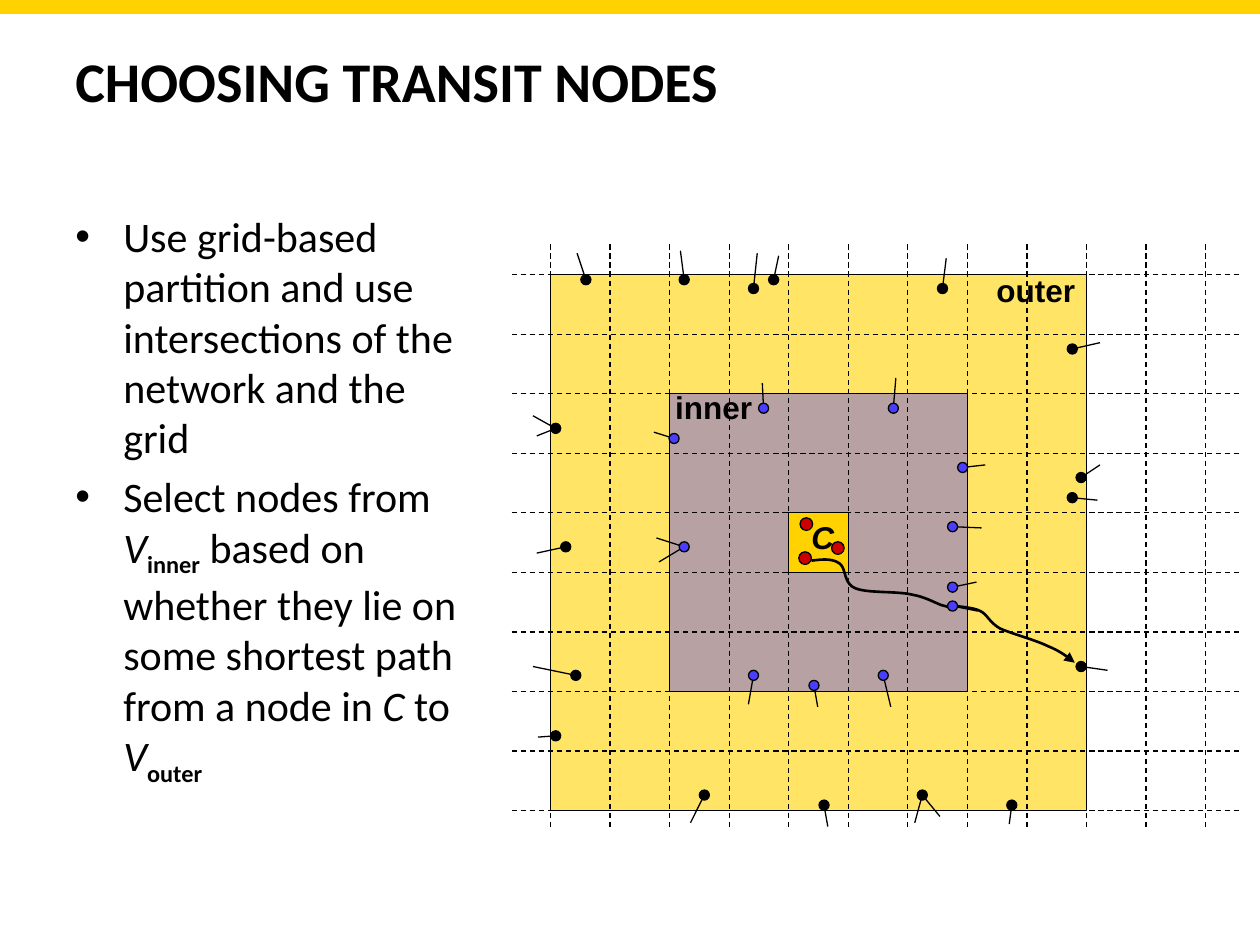
from lxml.etree import SubElement
from pptx import Presentation
from pptx.dml.color import RGBColor
from pptx.enum.dml import MSO_LINE
from pptx.enum.shapes import MSO_CONNECTOR, MSO_SHAPE
from pptx.enum.text import MSO_ANCHOR
from pptx.oxml.ns import qn
from pptx.util import Inches, Pt

BLACK, YELLOW, BLUE, RED = "000000", "FFD200", "4B3DFD", "CC0000"
GRID_LEFT, GRID_TOP, CELL = 4.37, 2.18, 0.4725
COLUMNS, ROWS = 12, 10

# Node centre followed by the outer ends of its edges
INNER_NODES = [
    ((7.09, 3.24), (7.11, 3.0)),
    ((6.06, 3.24), (6.05, 3.04)),
    ((5.35, 3.48), (5.19, 3.43)),
    ((7.01, 5.36), (7.07, 5.61)),
    ((6.46, 5.44), (6.49, 5.61)),
    ((5.98, 5.36), (5.94, 5.59)),
    ((5.43, 4.34), (5.21, 4.27), (5.23, 4.46)),
    ((7.64, 3.71), (7.82, 3.69)),
    ((7.56, 4.18), (7.79, 4.19)),
    ((7.56, 4.66), (7.75, 4.62)),
]
OUTER_NODES = [
    ((5.43, 2.22), (5.4, 1.99)),
    ((4.65, 2.22), (4.58, 2.01)),
    ((4.41, 3.4), (4.23, 3.3), (4.26, 3.46)),
    ((4.49, 4.34), (4.26, 4.39)),
    ((6.14, 2.22), (6.18, 2.03)),
    ((5.98, 2.29), (6.01, 2.01)),
    ((8.51, 2.77), (8.73, 2.72)),
    ((7.48, 2.29), (7.51, 2.05)),
    ((8.58, 3.79), (8.73, 3.69)),
    ((8.51, 3.95), (8.71, 3.97)),
    ((8.58, 5.29), (8.79, 5.32)),
    ((8.03, 6.39), (8.01, 6.54)),
    ((6.54, 6.39), (6.57, 6.56)),
    ((5.59, 6.31), (5.48, 6.53)),
    ((7.32, 6.31), (7.26, 6.53), (7.46, 6.48)),
    ((4.57, 5.36), (4.23, 5.29)),
    ((4.41, 5.84), (4.27, 5.85)),
]
PATH_NODE = ((7.56, 4.81), (7.76, 4.85))
CELL_NODES = [(6.39, 4.43), (6.65, 4.35), (6.4, 4.16)]

# Shortest path: start, then two control points and an end per curve
PATH_START = (6.44, 4.45)
PATH_CURVES = [
    ((6.52, 4.44), (6.6, 4.43), (6.66, 4.47)),
    ((6.72, 4.51), (6.69, 4.63), (6.79, 4.67)),
    ((6.89, 4.71), (7.12, 4.69), (7.24, 4.72)),
    ((7.36, 4.74), (7.44, 4.8), (7.5, 4.81)),
    ((7.56, 4.83), (7.55, 4.81), (7.59, 4.81)),
    ((7.64, 4.82), (7.72, 4.82), (7.78, 4.85)),
    ((7.84, 4.88), (7.85, 4.94), (7.94, 4.99)),
    ((8.03, 5.03), (8.22, 5.08), (8.32, 5.13)),
    ((8.42, 5.17), (8.48, 5.22), (8.53, 5.26)),
]

PLAIN, ITALIC = {}, {"italic": True}
SUBSCRIPT = {"bold": True, "baseline": "-25000"}
BULLETS = [
    [("Use grid-based partition and use intersections of the network and the grid", PLAIN)],
    [("Select nodes from ", PLAIN), ("V", ITALIC), ("inner", SUBSCRIPT),
     (" based on whether they lie on some shortest path from a node in ", PLAIN),
     ("C", ITALIC), (" to ", PLAIN), ("V", ITALIC), ("outer", SUBSCRIPT)],
]


def color(hex_value):
    return RGBColor.from_string(hex_value)


def add_filled(slide, kind, box, fill, line=BLACK, opacity=None):
    shape = slide.shapes.add_shape(kind, *map(Inches, box))
    shape.shadow.inherit = False
    shape.fill.solid()
    shape.fill.fore_color.rgb = color(fill)
    shape.line.color.rgb = color(line)
    shape.line.width = Pt(0.75)
    if opacity:
        fill_color = shape._element.spPr.find(qn("a:solidFill"))[0]
        SubElement(fill_color, qn("a:alpha"), val=str(opacity * 1000))


def add_block(slide, first_cell, cells, fill, opacity=None):
    """Square of whole cells, starting at the same column and row."""
    offset, size = first_cell * CELL, cells * CELL
    box = (GRID_LEFT + offset, GRID_TOP + offset, size, size)
    add_filled(slide, MSO_SHAPE.RECTANGLE, box, fill, opacity=opacity)


def add_line(slide, start, end, dash=None):
    connector = slide.shapes.add_connector(
        MSO_CONNECTOR.STRAIGHT, *map(Inches, (*start, *end)))
    connector.line.color.rgb = color(BLACK)
    connector.line.width = Pt(0.75)
    if dash:
        connector.line.dash_style = dash
    SubElement(connector._element.spPr, qn("a:effectLst"))


def add_dot(slide, center, fill, size=0.08):
    box = (center[0] - size / 2, center[1] - size / 2, size, size)
    add_filled(slide, MSO_SHAPE.OVAL, box, fill)


def add_node(slide, node, fill):
    center, *ends = node
    for end in ends:
        add_line(slide, center, end)
    add_dot(slide, center, fill)


def add_grid(slide):
    for column in range(COLUMNS):
        x = GRID_LEFT + column * CELL
        add_line(slide, (x, 1.94), (x, 6.59), MSO_LINE.DASH)
    for row in range(ROWS):
        y = GRID_TOP + row * CELL
        add_line(slide, (4.06, y), (9.84, y), MSO_LINE.DASH)


def curve_points(start, curves, steps=10):
    points = []
    for first, second, end in curves:
        for step in range(1, steps + 1):
            t = step / steps
            points.append(tuple(
                Inches((1 - t) ** 3 * a + 3 * (1 - t) ** 2 * t * b
                       + 3 * (1 - t) * t ** 2 * c + t ** 3 * d)
                for a, b, c, d in zip(start, first, second, end)))
        start = end
    return points


def add_shortest_path(slide):
    builder = slide.shapes.build_freeform(*map(Inches, PATH_START))
    builder.add_line_segments(curve_points(PATH_START, PATH_CURVES), close=False)
    shape = builder.convert_to_shape()
    shape.shadow.inherit = False
    shape.fill.background()
    shape.line.color.rgb = color(BLACK)
    shape.line.width = Pt(1.5)
    SubElement(shape.line._get_or_add_ln(), qn("a:tailEnd"), type="triangle")


def add_text_box(slide, box, wrap=True, anchor=MSO_ANCHOR.TOP):
    frame = slide.shapes.add_textbox(*map(Inches, box)).text_frame
    frame.word_wrap = wrap
    frame.vertical_anchor = anchor
    return frame


def add_run(paragraph, text, **formats):
    run = paragraph.add_run()
    run.text = text
    run.font.color.rgb = color(BLACK)
    baseline = formats.pop("baseline", None)
    for name, value in formats.items():
        setattr(run.font, name, value)
    if baseline:
        run.font._element.set("baseline", baseline)


def add_label(slide, box, text, italic=False):
    frame = add_text_box(slide, box, wrap=False)
    add_run(frame.paragraphs[0], text, name="Arial", size=Pt(18), bold=True, italic=italic)


def add_bullets(slide, box):
    frame = add_text_box(slide, box)
    for index, runs in enumerate(BULLETS):
        paragraph = frame.add_paragraph() if index else frame.paragraphs[0]
        if index:
            paragraph.space_before = Pt(4.8)
        properties = paragraph._p.get_or_add_pPr()
        properties.set("marL", str(Inches(0.38)))
        properties.set("indent", str(-Inches(0.38)))
        SubElement(properties, qn("a:buFont"), typeface="Arial")
        SubElement(properties, qn("a:buChar"), char="•")
        for text, formats in runs:
            add_run(paragraph, text, name="Calibri", size=Pt(24), **formats)


def main():
    presentation = Presentation()
    presentation.slide_width, presentation.slide_height = Inches(10), Inches(7.5)
    slide = presentation.slides.add_slide(presentation.slide_layouts[6])

    # Top band, title and bullets
    add_filled(slide, MSO_SHAPE.RECTANGLE, (0, 0, 10, 0.11), YELLOW, YELLOW)
    title = add_text_box(slide, (0.5, 0.3, 9.4, 0.67), anchor=MSO_ANCHOR.MIDDLE)
    add_run(title.paragraphs[0], "CHOOSING TRANSIT NODES",
            name="Calibri", size=Pt(32), bold=True)
    add_bullets(slide, (0.5, 1.62, 3.32, 4.95))

    # Outer, inner and centre blocks under the grid
    add_block(slide, 0, 9, YELLOW, opacity=60)
    add_block(slide, 2, 5, BLUE, opacity=40)
    add_block(slide, 4, 1, YELLOW)
    add_grid(slide)
    add_label(slide, (6.34, 4.06, 0.38, 0.4), "C", italic=True)

    # Nodes and the shortest path
    for nodes, fill in ((INNER_NODES, BLUE), (OUTER_NODES, BLACK)):
        for node in nodes:
            add_node(slide, node, fill)
    add_shortest_path(slide)
    add_node(slide, PATH_NODE, BLUE)
    for center in CELL_NODES:
        add_dot(slide, center, RED, size=0.1)

    # Block names
    add_label(slide, (5.26, 3.03, 0.81, 0.4), "inner")
    add_label(slide, (7.81, 2.1, 0.83, 0.4), "outer")
    presentation.save("out.pptx")


if __name__ == "__main__":
    main()
